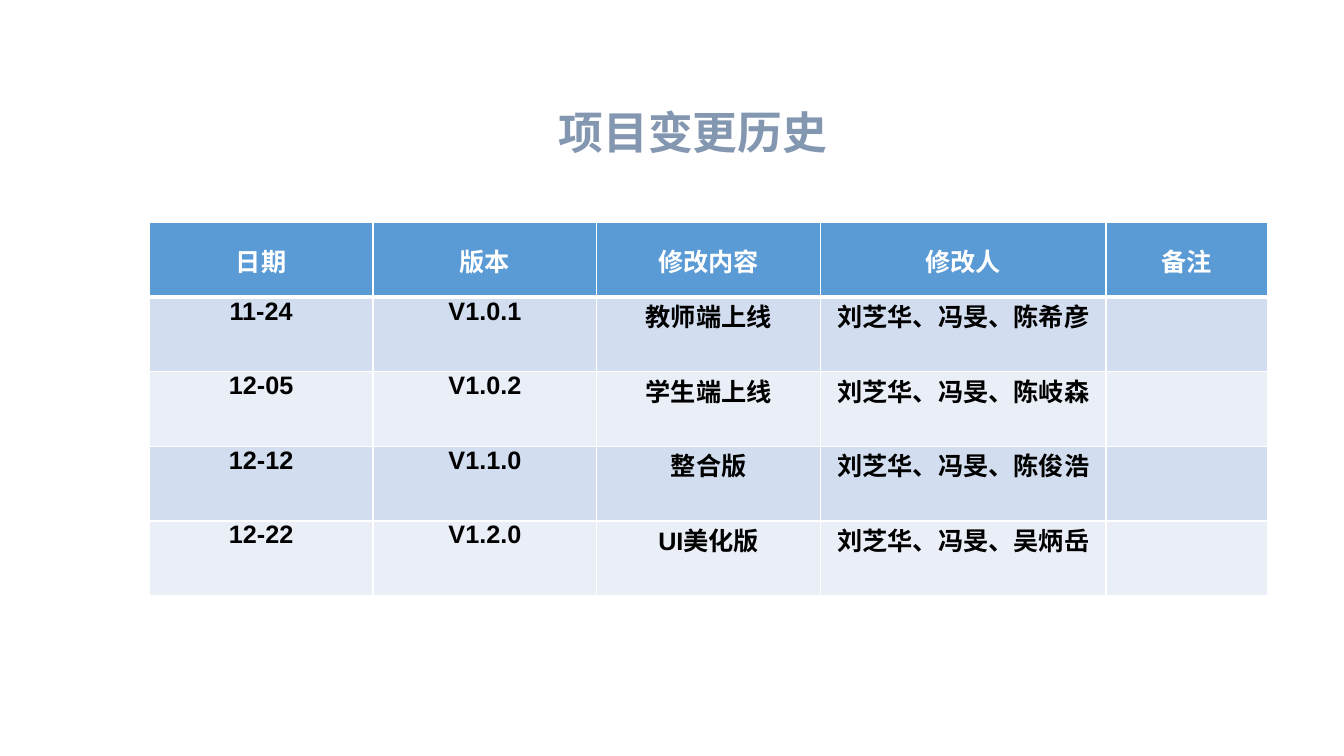
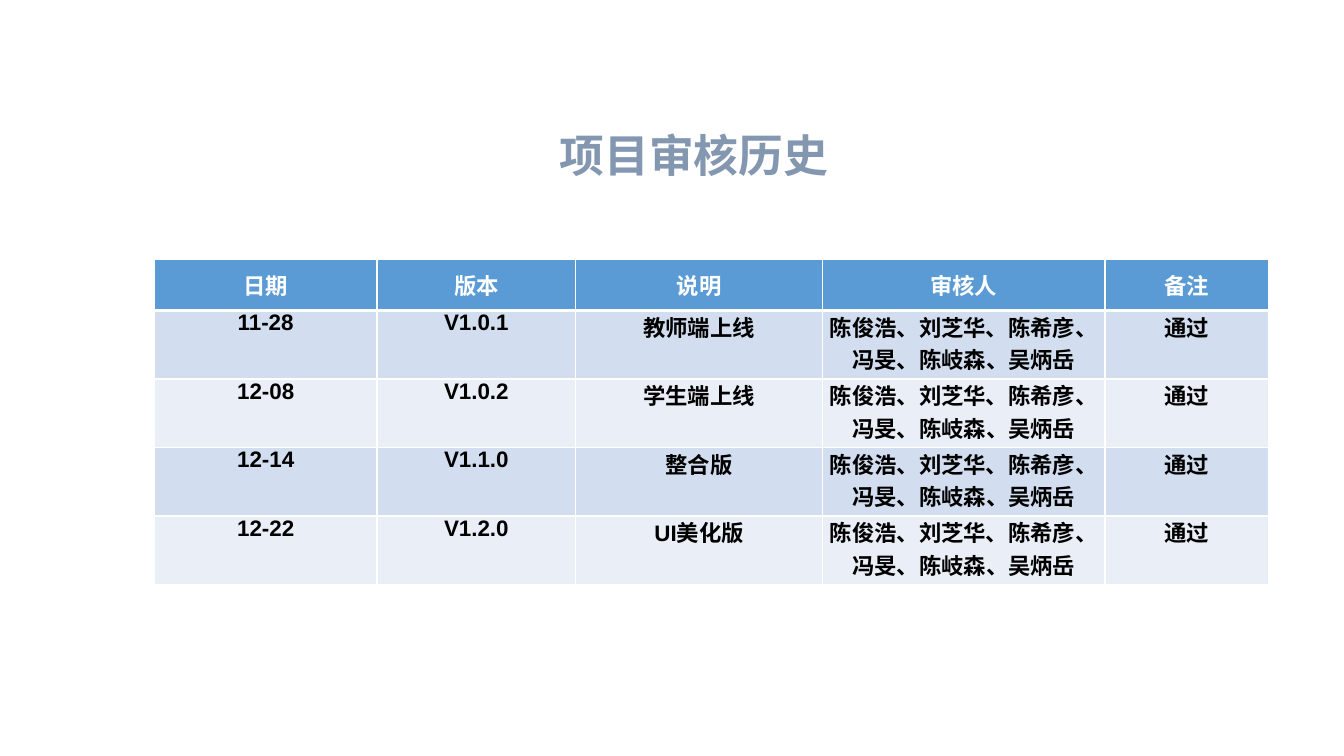
"""Builds two slides: the project's change history and its review history."""
from lxml import etree
from pptx import Presentation
from pptx import util as u
from pptx.dml.color import RGBColor
from pptx.enum import text
from pptx.oxml import ns

PX = 9144
WHITE = RGBColor(0xFF, 0xFF, 0xFF)
BLACK = RGBColor(0x00, 0x00, 0x00)
BLUE = RGBColor(0x5B, 0x9B, 0xD5)
SLATE = RGBColor(0x84, 0x97, 0xB0)
BANDS = [RGBColor(0xEA, 0xEF, 0xF7), RGBColor(0xD2, 0xDE, 0xEF)]
LATIN = "Arial"
HAN = "Noto Sans CJK SC"

TEAM = "陈俊浩、刘芝华、陈希彦、冯旻、陈岐森、吴炳岳"
PAGES = [
    {
        "title": "项目变更历史", "spot": (544, 99), "at": (148, 221), "size": 18,
        "cols": [222, 222, 222, 283, 160], "rows": [74] * 5,
        "cells": [
            ["日期", "版本", "修改内容", "修改人", "备注"],
            ["11-24", "V1.0.1", "教师端上线", "刘芝华、冯旻、陈希彦", ""],
            ["12-05", "V1.0.2", "学生端上线", "刘芝华、冯旻、陈岐森", ""],
            ["12-12", "V1.1.0", "整合版", "刘芝华、冯旻、陈俊浩", ""],
            ["12-22", "V1.2.0", "UI美化版", "刘芝华、冯旻、吴炳岳", ""],
        ],
    },
    {
        "title": "项目审核历史", "spot": (545, 121), "at": (153, 257), "size": 16,
        "cols": [221, 197, 245, 280, 162], "rows": [51] + [68] * 4,
        "cells": [
            ["日期", "版本", "说明", "审核人", "备注"],
            ["11-28", "V1.0.1", "教师端上线", TEAM, "通过"],
            ["12-08", "V1.0.2", "学生端上线", TEAM, "通过"],
            ["12-14", "V1.1.0", "整合版", TEAM, "通过"],
            ["12-22", "V1.2.0", "UI美化版", TEAM, "通过"],
        ],
    },
]


def style(par, face, size, color):
    for run in par.runs:
        font = run.font
        font.name, font.size, font.bold = face, u.Pt(size), True
        font.color.rgb = color
        props = run._r.get_or_add_rPr()
        etree.SubElement(props, ns.qn("a:ea"), typeface=HAN)


def edge(cell, side, width):
    props = cell._tc.get_or_add_tcPr()
    line = etree.SubElement(props, ns.qn("a:ln" + side), w=str(u.Pt(width)))
    fill = etree.SubElement(line, ns.qn("a:solidFill"))
    etree.SubElement(fill, ns.qn("a:srgbClr"), val=str(WHITE))


deck = Presentation()
deck.slide_width, deck.slide_height = 1333 * PX, 750 * PX

for page in PAGES:
    slide = deck.slides.add_slide(deck.slide_layouts[6])
    cols, rows = page["cols"], page["rows"]
    left, top = page["at"]
    frame = slide.shapes.add_table(len(rows), len(cols), left * PX, top * PX,
                                   sum(cols) * PX, sum(rows) * PX)
    table = frame.table
    for col, width in zip(table.columns, cols):
        col.width = width * PX
    for r, height in enumerate(rows):
        table.rows[r].height = height * PX
        head = r == 0
        for c, words in enumerate(page["cells"][r]):
            cell = table.cell(r, c)
            cell.margin_left = cell.margin_right = 2 * PX
            cell.margin_top = cell.margin_bottom = 0
            cell.vertical_anchor = text.MSO_ANCHOR.MIDDLE if head else text.MSO_ANCHOR.TOP
            for side in "LRTB":
                thick = (head and side == "B") or (r == 1 and side == "T")
                edge(cell, side, 3 if thick else 1)
            cell.fill.solid()
            cell.fill.fore_color.rgb = BLUE if head else BANDS[r % 2]
            par = cell.text_frame.paragraphs[0]
            par.text = words
            par.alignment = text.PP_ALIGN.CENTER
            style(par, LATIN, page["size"], WHITE if head else BLACK)

    left, top = page["spot"]
    box = slide.shapes.add_textbox(left * PX, top * PX, 289 * PX, 64 * PX)
    body = box.text_frame
    body.text = page["title"]
    body.word_wrap = False
    body.auto_size = text.MSO_AUTO_SIZE.SHAPE_TO_FIT_TEXT
    body.vertical_anchor = text.MSO_ANCHOR.MIDDLE
    style(body.paragraphs[0], HAN, 32, SLATE)

deck.save("out.pptx")
